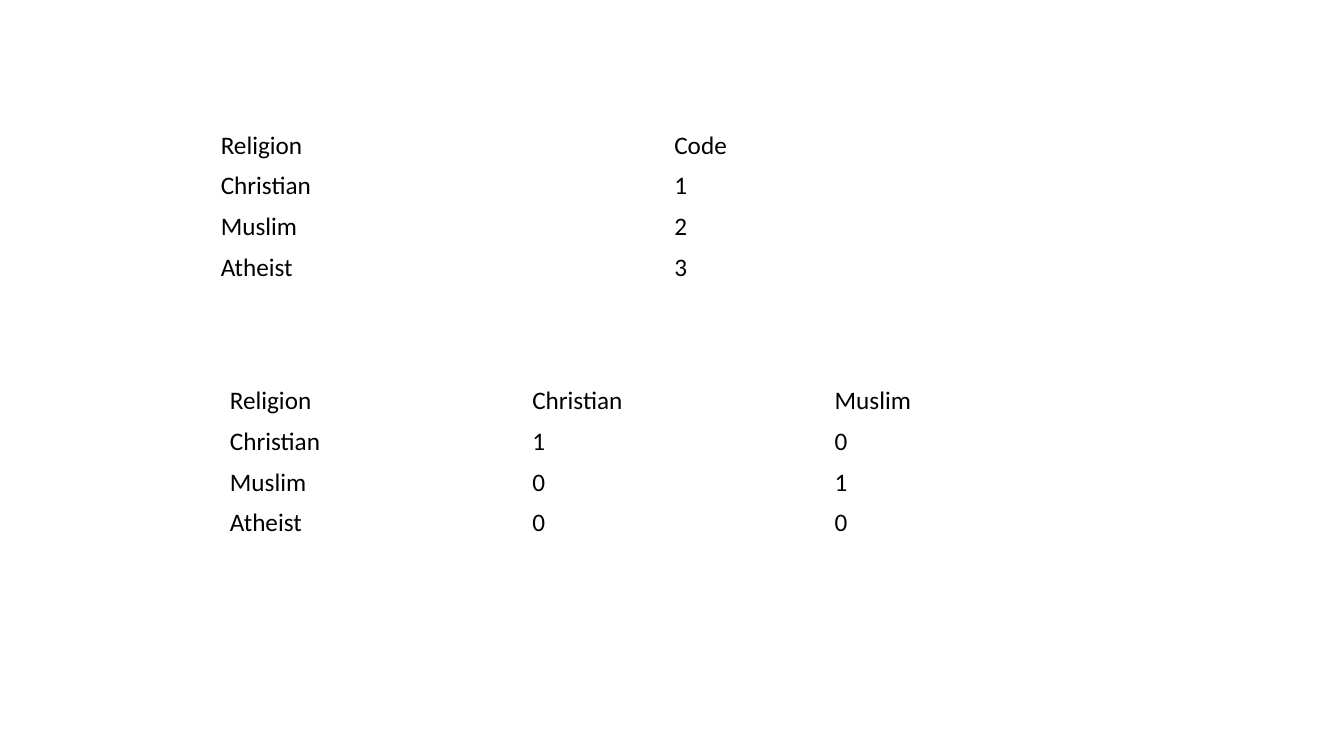
from pptx import Presentation
from pptx.dml.color import RGBColor
from pptx.enum.text import MSO_ANCHOR
from pptx.util import Cm, Pt

FONT, INK, PAPER = "Calibri", "000000", "FFFFFF"
GROUPS = ["Christian", "Muslim", "Atheist"]


def paint(color, hex_code):
    """Set a colour format from a hex string."""
    color.rgb = RGBColor.from_string(hex_code)


def write(tf, text, size=18, color=INK, bold=False):
    """Put formatted text into the first paragraph of a text frame."""
    r = tf.paragraphs[0].add_run()
    r.text = text
    r.font.name, r.font.size, r.font.bold = FONT, Pt(size), bold
    paint(r.font.color, color)


def add_grid(s, rows, left, top, width, height):
    """Add a plain table whose columns and rows share the given box evenly."""
    tbl = s.shapes.add_table(len(rows), len(rows[0]), Cm(left), Cm(top),
                             Cm(width), Cm(height)).table
    tbl.first_row = tbl.horz_banding = False
    for col in tbl.columns:
        col.width = Cm(width / len(rows[0]))
    for row, values in zip(tbl.rows, rows):
        row.height = Cm(height / len(rows))
        for cell, value in zip(row.cells, values):
            cell.vertical_anchor = MSO_ANCHOR.MIDDLE
            cell.fill.solid()
            paint(cell.fill.fore_color, PAPER)
            write(cell.text_frame, str(value))


def add_code_table(s, **box):
    """Add the table that numbers each religion."""
    codes = [[group, code] for code, group in enumerate(GROUPS, 1)]
    add_grid(s, [["Religion", "Code"]] + codes, **box)


def add_dummy_table(s, **box):
    """Add the table of dummy variables, with the last religion as baseline."""
    dummies = GROUPS[:-1]
    flags = [[group] + [int(group == d) for d in dummies] for group in GROUPS]
    add_grid(s, [["Religion"] + dummies] + flags, **box)


def main():
    """Build the slide and save it."""
    prs = Presentation()
    prs.slide_width, prs.slide_height = Cm(33.87), Cm(19.05)
    s = prs.slides.add_slide(prs.slide_layouts[6])
    size = {"width": 22.86, "height": 4.12}
    add_code_table(s, left=5.31, top=3.15, **size)
    add_dummy_table(s, left=5.54, top=9.58, **size)
    prs.save("out.pptx")


main()
